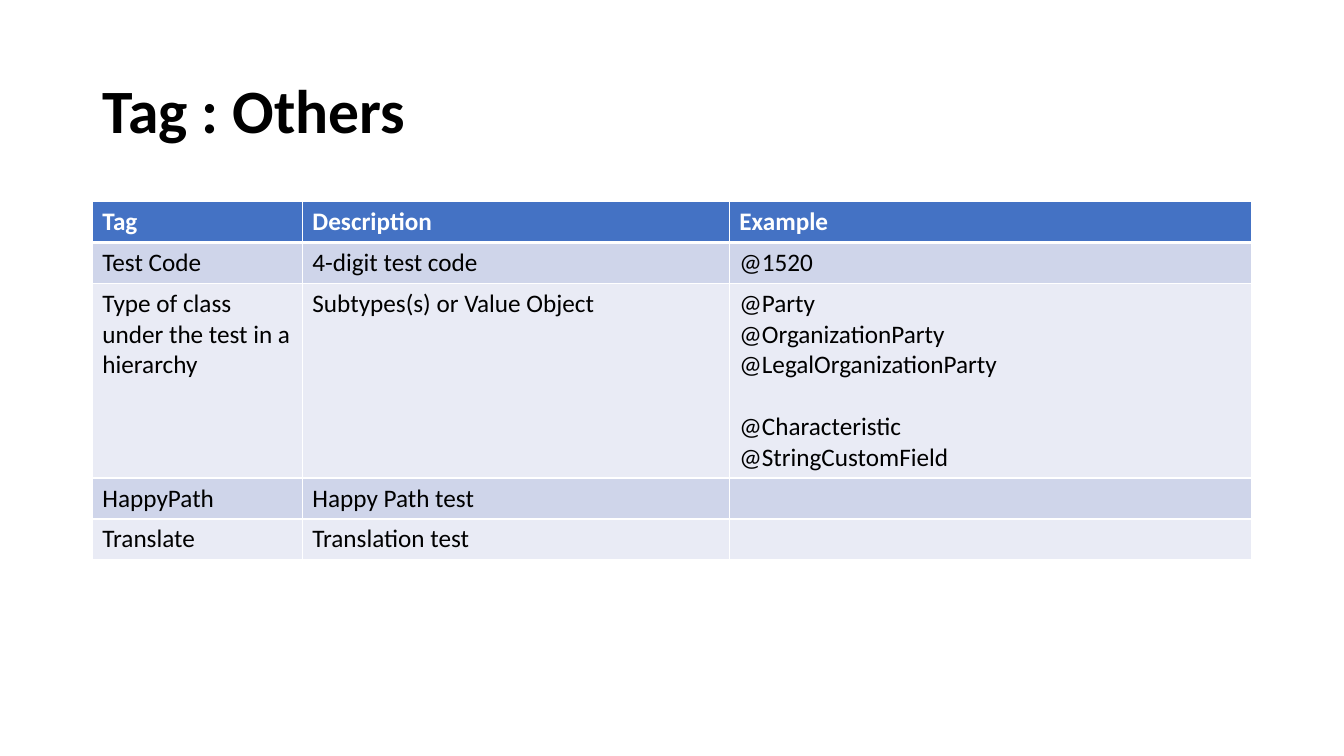
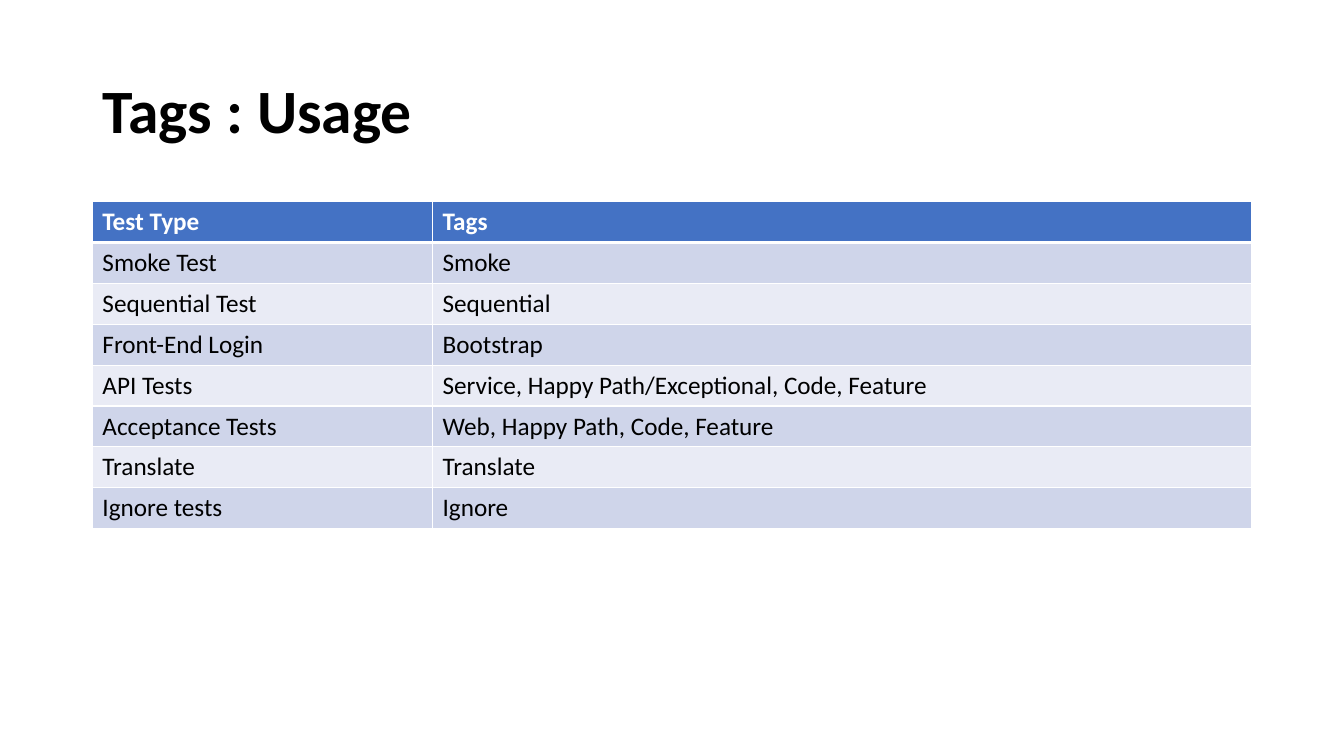
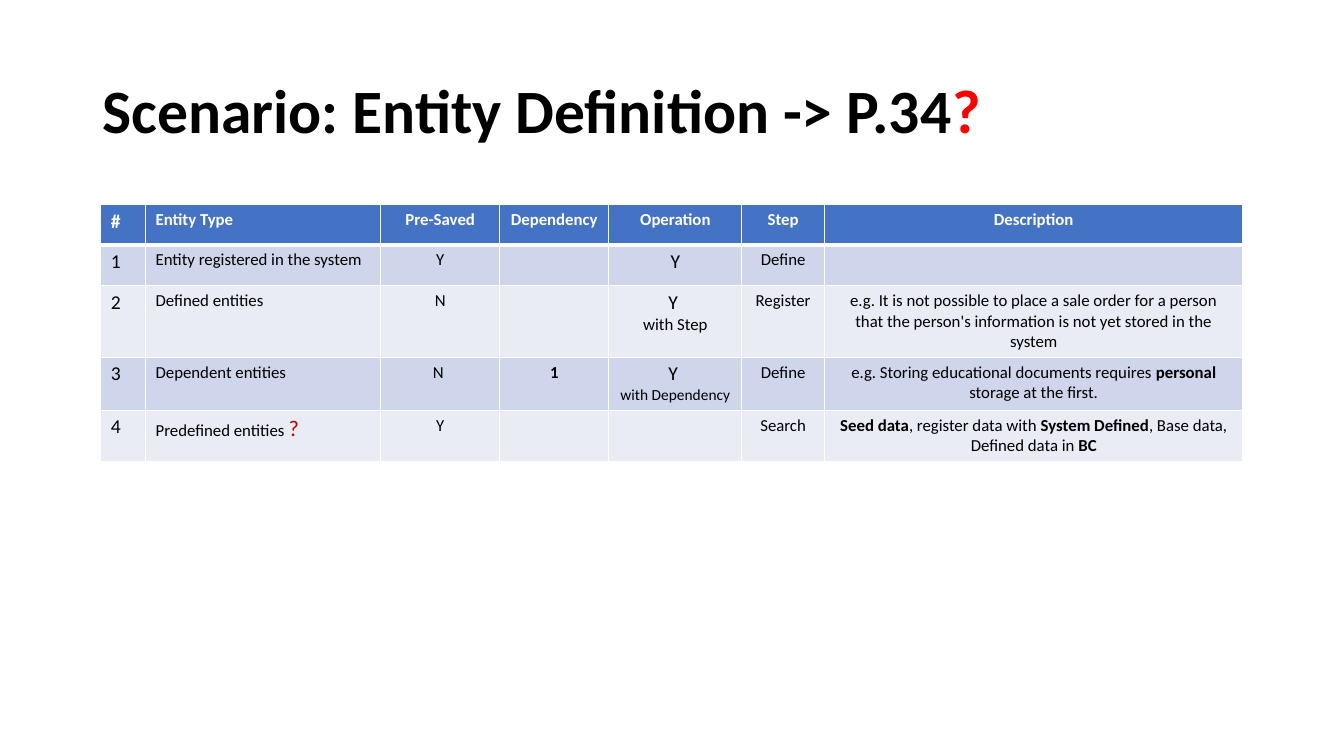
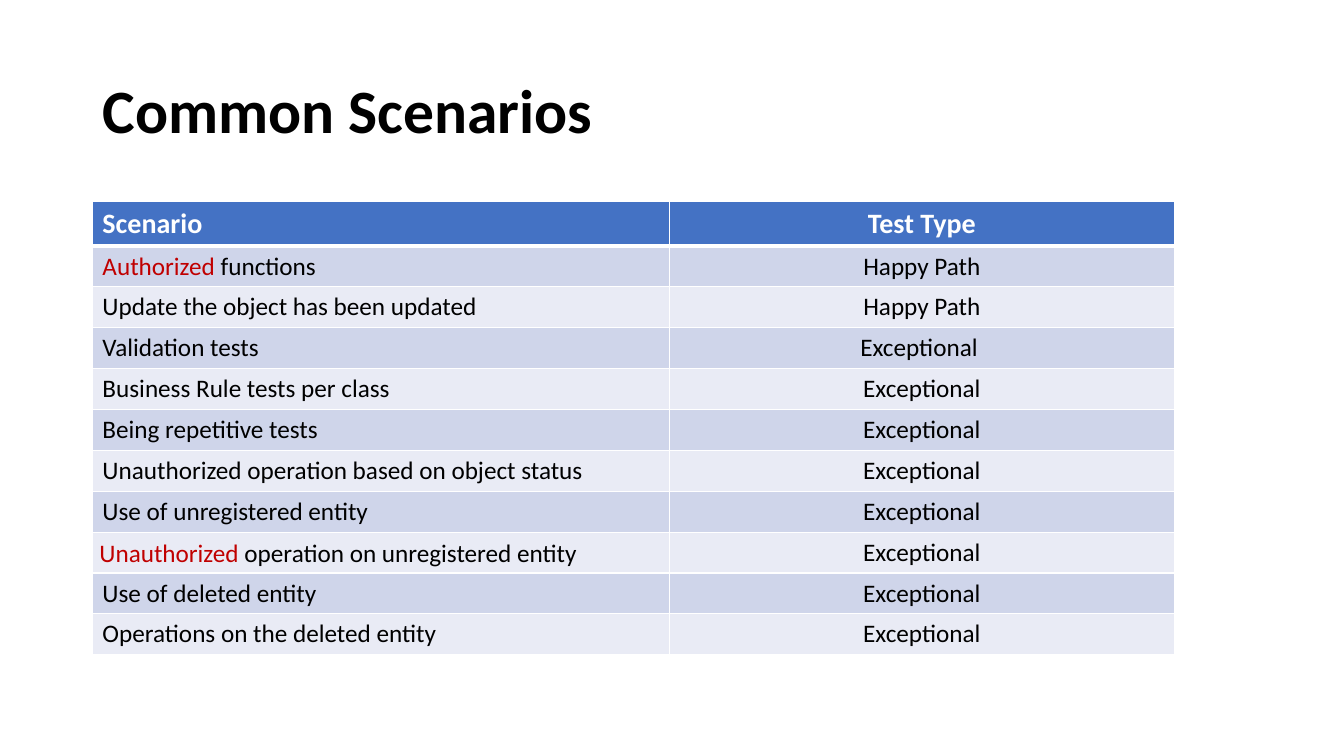
from lxml import etree
from pptx import Presentation
from pptx.dml.color import RGBColor
from pptx.enum import text as t
from pptx.oxml.ns import qn
from pptx.util import Pt

BLACK = RGBColor(0x00, 0x00, 0x00)
WHITE = RGBColor(0xFF, 0xFF, 0xFF)
BLUE = RGBColor(0x44, 0x72, 0xC4)
BANDS = [RGBColor(0xE9, 0xEB, 0xF5), RGBColor(0xCF, 0xD5, 0xEA)]
RED = RGBColor(0xFF, 0x00, 0x00)
DARK_RED = RGBColor(0xC0, 0x00, 0x00)
FONT = "Calibri"
ROW = 29.2  # height of a row with one 18 pt line


def add_runs(para, line, size, color, bold):
    """Add a line: a string, or a list of strings and (words, changes) pairs."""
    for part in [line] if isinstance(line, str) else line:
        words, changes = (part, {}) if isinstance(part, str) else part
        span = para.add_run()
        span.text = words
        span.font.name = FONT
        span.font.size = Pt(changes.get("size", size))
        span.font.bold = changes.get("bold", bold)
        span.font.color.rgb = changes.get("color", color)


def add_borders(cell, top, bottom):
    """Draw white borders; this must come before the cell's fill."""
    properties = cell._tc.get_or_add_tcPr()
    for side, width in [("L", 1), ("R", 1), ("T", top), ("B", bottom)]:
        border = etree.SubElement(properties, qn("a:ln" + side), w=str(Pt(width)))
        fill = etree.SubElement(border, qn("a:solidFill"))
        etree.SubElement(fill, qn("a:srgbClr"), val=str(WHITE))


BOLD = {"bold": True}
BIG = {"size": 14}
SMALL = {"size": 11}
MARKED = {"color": DARK_RED}

# A cell is one line, or a tuple of lines.
pages = [
    {
        "title": "Tag : Others",
        "at": (66, 144), "widths": [150, 305, 373],
        "heights": [ROW, ROW, 139, ROW, ROW],
        "sizes": (18, 18), "centred": [],
        "rows": [
            ["Tag", "Description", "Example"],
            ["Test Code", "4-digit test code", "@1520"],
            ["Type of class under the test in a hierarchy", "Subtypes(s) or Value Object",
             ("@Party", "@OrganizationParty", "@LegalOrganizationParty",
              "@Characteristic", "@StringCustomField")],
            ["HappyPath", "Happy Path test", ""],
            ["Translate", "Translation test", ""],
        ],
    },
    {
        "title": "Tags : Usage",
        "at": (66, 144), "widths": [243, 585], "heights": [ROW] * 8,
        "sizes": (18, 18), "centred": [],
        "rows": [
            ["Test Type", "Tags"],
            ["Smoke Test", "Smoke"],
            ["Sequential Test", "Sequential"],
            ["Front-End Login", "Bootstrap"],
            ["API Tests", "Service, Happy Path/Exceptional, Code, Feature"],
            ["Acceptance Tests", "Web, Happy Path, Code, Feature"],
            ["Translate", "Translate"],
            ["Ignore tests", "Ignore"],
        ],
    },
    {
        "title": ["Scenario: Entity Definition -> P.34", ("?", {"color": RED})],
        "at": (72, 146), "widths": [32, 168, 85, 78, 95, 59, 299],
        "heights": [28.8, ROW, 51, 37.5, 36.5],
        "sizes": (12, 12), "centred": [2, 3, 4, 5, 6],
        "rows": [
            [[("#", BIG)], "Entity Type", "Pre-Saved", "Dependency", "Operation", "Step",
             "Description"],
            [[("1", BIG)], "Entity registered in the system", "Y", "", [("Y", BIG)],
             "Define", ""],
            [[("2", BIG)], "Defined entities", "N", "", ([("Y ", BIG)], "with Step"),
             "Register",
             "e.g. It is not possible to place a sale order for a person that the "
             "person's information is not yet stored in the system"],
            [[("3", BIG)], "Dependent entities", "N ", [("1", BOLD)],
             ([("Y ", BIG)], [("with Dependency", SMALL)]), "Define",
             ["e.g. Storing educational documents requires ", ("personal ", BOLD),
              "storage at the first."]],
            [[("4", BIG)],
             ["Predefined entities ", ("?", {"size": 16, "color": DARK_RED})],
             "Y", "", "", "Search",
             [("Seed data", BOLD), ", register data with ", ("System Defined", BOLD),
              ", Base data, Defined data in ", ("BC", BOLD)]],
        ],
    },
    {
        "title": "Common Scenarios",
        "at": (66, 144), "widths": [412, 361], "heights": [31.6] + [ROW] * 10,
        "sizes": (20, 18), "centred": [1],
        "rows": [
            ["Scenario", "Test Type"],
            [[("Authorized", MARKED), " functions"], "Happy Path"],
            ["Update the object has been updated", "Happy Path"],
            ["Validation tests", "Exceptional "],
            ["Business Rule tests per class", "Exceptional"],
            ["Being repetitive tests", "Exceptional"],
            ["Unauthorized operation based on object status", "Exceptional"],
            ["Use of unregistered entity", "Exceptional"],
            [[("Unauthorized", MARKED), " operation on unregistered entity"], "Exceptional"],
            ["Use of deleted entity", "Exceptional"],
            ["Operations on the deleted entity", "Exceptional"],
        ],
    },
]

deck = Presentation()
deck.slide_width, deck.slide_height = Pt(960), Pt(540)
tables = []

for page in pages:
    slide = deck.slides.add_slide(deck.slide_layouts[5])
    title = slide.shapes.title
    title.left, title.top, title.width, title.height = Pt(66), Pt(28.8), Pt(828), Pt(104.4)
    title.text_frame.auto_size = t.MSO_AUTO_SIZE.NONE
    title.text_frame.vertical_anchor = t.MSO_ANCHOR.MIDDLE
    heading = title.text_frame.paragraphs[0]
    heading.alignment = t.PP_ALIGN.LEFT
    heading.line_spacing = 0.9
    add_runs(heading, page["title"], 44, BLACK, True)

    left, top = page["at"]
    widths, heights = page["widths"], page["heights"]
    table = slide.shapes.add_table(len(heights), len(widths), Pt(left), Pt(top),
                                   Pt(sum(widths)), Pt(sum(heights))).table
    tables.append(table)
    for column, width in zip(table.columns, widths):
        column.width = Pt(width)
    for row, height in zip(table.rows, heights):
        row.height = Pt(height)

    header_size, body_size = page["sizes"]
    for r, row in enumerate(page["rows"]):
        header = r == 0
        for c, content in enumerate(row):
            cell = table.cell(r, c)
            add_borders(cell, 3 if r == 1 else 1, 3 if header else 1)
            cell.fill.solid()
            cell.fill.fore_color.rgb = BLUE if header else BANDS[r % 2]
            if not content:
                continue
            frame = cell.text_frame
            for i, line in enumerate(content if isinstance(content, tuple) else [content]):
                para = frame.add_paragraph() if i else frame.paragraphs[0]
                centred = c in page["centred"]
                para.alignment = t.PP_ALIGN.CENTER if centred else t.PP_ALIGN.LEFT
                add_runs(para, line, header_size if header else body_size,
                         WHITE if header else BLACK, header)

# The second group of class tags stands apart from the first.
tables[0].cell(2, 2).text_frame.paragraphs[3].space_before = Pt(22)

unauthorized = tables[3].cell(8, 0)
unauthorized.vertical_anchor = t.MSO_ANCHOR.MIDDLE
unauthorized.margin_left = unauthorized.margin_right = Pt(5)
unauthorized.margin_top = unauthorized.margin_bottom = Pt(0)
unauthorized.text_frame.paragraphs[0].line_spacing = 1.07

deck.save("out.pptx")
